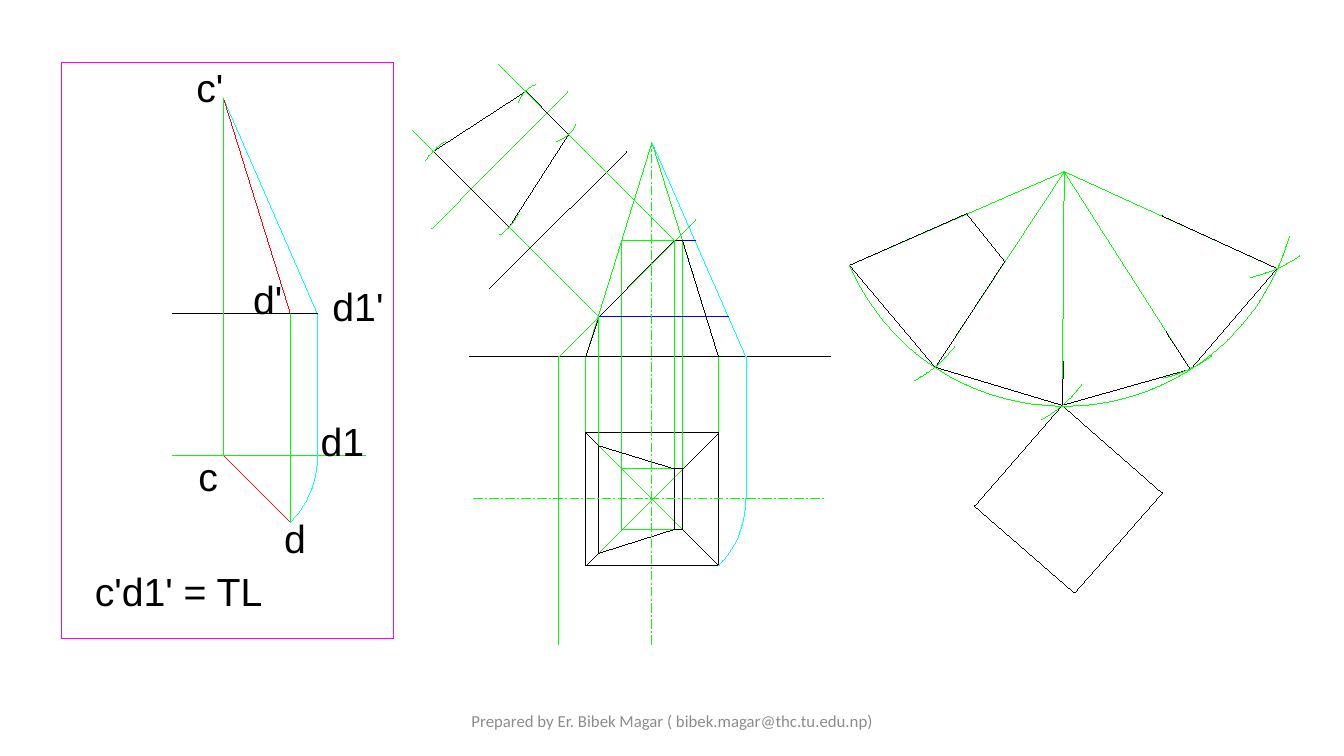
import math
import pptx
import pptx.util
import pptx.dml.color
import pptx.enum.dml
import pptx.enum.shapes
import pptx.enum.text
import pptx.oxml.ns
from lxml import etree

# Content: drawing coordinates are inches, converted to Cm when drawn
BLACK, GREEN, CYAN, BLUE = "000000", "00FF00", "00FFFF", "0000FF"
RED, MAGENTA, GREY = "FF0000", "FF00FF", "8C8C8C"
AXIS_X, GROUND_Y, PLAN_Y = 6.47, 3.54, 4.95
BASE_HALF, TOP_HALF = 0.66, 0.30

# Plan and elevation of the pyramid
apex = (AXIS_X, 1.41)
low_cut, high_cut, top_right = (5.94, 3.14), (6.69, 2.38), (6.77, 2.38)
base_left, base_right = (AXIS_X - BASE_HALF, GROUND_Y), (AXIS_X + BASE_HALF, GROUND_Y)
low_back, low_front = (5.94, 4.42), (5.94, 5.49)
high_back, high_front = (6.69, 4.65), (6.69, 5.25)


def square(half):
    """Plan corners: back left, back right, front right, front left."""
    return [(AXIS_X + half * sx, PLAN_Y + half * sy)
            for sx, sy in ((-1, -1), (1, -1), (1, 1), (-1, 1))]


base = square(BASE_HALF)
top = square(TOP_HALF)
turned = (7.40, PLAN_Y)
turned_ground = (7.40, GROUND_Y)

# Each chain is a colour and the points it joins
pyramid = [
    (BLACK, base + base[:1]),
    (GREEN, top + top[:1]),
    (GREEN, [base[3], base[1]]),
    (GREEN, [base[0], base[2]]),
    (BLACK, [(4.66, GROUND_Y), (8.24, GROUND_Y)]),
    (GREEN, [(6.17, 2.38), top_right]),
    (GREEN, [base[0], base_left]),
    (GREEN, [top[0], (6.17, 2.38)]),
    (GREEN, [top[1], top_right]),
    (GREEN, [base[1], base_right]),
    (GREEN, [(5.54, 6.39), (5.54, GROUND_Y), (6.90, 2.18)]),
    (BLACK, [(4.86, 2.86), (6.22, 1.50)]),
    (GREEN, [(4.28, 2.27), (5.63, 0.91)]),
    (GREEN, [base_left, apex, base_right]),
    (BLACK, [top_right, high_cut, low_cut, base_left]),
    (GREEN, [high_cut, high_front]),
    (GREEN, [low_cut, low_front]),
    (BLACK, [base[1], top[1], high_back, high_front, top[2], base[2]]),
    (BLACK, [high_back, low_back, low_front, high_front]),
    (BLACK, [base[3], low_front]),
    (BLACK, [base[0], low_back]),
    (BLACK, [base_right, top_right]),
    (CYAN, [turned, turned_ground, apex]),
    (BLUE, [top_right, (6.90, 2.38)]),
    (BLUE, [low_cut, (7.23, 3.14)]),
]
centre_lines = [
    (GREEN, [(AXIS_X, 6.39), apex]),
    (GREEN, [(4.70, PLAN_Y), (8.20, PLAN_Y)]),
]

# True shape of the section
section = [(4.30, 1.50), (5.22, 0.90), (5.64, 1.33), (5.05, 2.25)]
true_shape = [
    (GREEN, [low_cut, (4.09, 1.29)]),
    (GREEN, [high_cut, (4.95, 0.64)]),
    (BLACK, section + section[:1]),
]

# Development of the surface
hub = (10.56, 1.70)
rim = [(8.43, 2.63), (9.28, 3.64), (10.54, 4.02), (11.81, 3.66), (12.67, 2.66)]
cuts = [(9.59, 2.12), (9.97, 2.59), (10.55, 3.59), (11.57, 3.29), (11.53, 2.14)]
development = (
    [(GREEN, [corner, hub]) for corner in rim]
    + [(BLACK, [corner, cut]) for corner, cut in zip(rim, cuts)]
    + [(BLACK, cuts[:2]), (BLACK, rim),
       (BLACK, [rim[2], (11.53, 4.89), (10.66, 5.88), (9.67, 5.02), rim[2]])]
)

# True length of the edge cd
c, c_up, d, d_up = (2.22, 4.52), (2.22, 0.98), (2.88, 5.18), (2.88, 3.11)
d1, d1_up = (3.15, 4.52), (3.15, 3.11)
true_length = [
    (RED, [c, d]),
    (GREEN, [(1.71, 4.52), (3.63, 4.52)]),
    (CYAN, [d1, d1_up, c_up]),
    (BLACK, [d1_up, (1.71, 3.11)]),
    (GREEN, [d, d_up]),
    (RED, [d_up, c_up]),
    (MAGENTA, [(3.90, 6.34), (3.90, 0.62), (0.61, 0.62), (0.61, 6.34), (3.90, 6.34)]),
    (GREEN, [c, c_up]),
]

# Arcs: colour, start, end, radius, number of steps
arcs = [
    (CYAN, base[2], turned, 0.93, 11),
    (CYAN, d, d1, 0.93, 11),
    (GREEN, (4.42, 1.40), (4.22, 1.59), 0.66, 5),
    (GREEN, (4.96, 2.33), (5.14, 2.13), 0.66, 5),
    (GREEN, (5.31, 0.84), (5.14, 1.02), 0.30, 7),
    (GREEN, (5.52, 1.40), (5.71, 1.24), 0.30, 7),
    (GREEN, rim[0], (12.79, 2.35), 2.32, 57),
    (GREEN, (9.07, 3.78), (9.47, 3.44), 1.32, 7),
    (GREEN, (10.34, 4.16), (10.73, 3.82), 1.32, 7),
    (GREEN, (12.41, 2.75), (12.89, 2.54), 1.32, 7),
    (GREEN, (11.54, 3.75), (12.02, 3.53), 1.32, 7),
]

# Labels: text, left, top, width
labels = [
    ("c'", 1.95, 0.63, 0.44),
    ("c", 1.97, 4.49, 0.37),
    ("d", 2.82, 5.10, 0.39),
    ("d1'", 3.30, 2.80, 0.68),
    ("d'", 2.51, 2.73, 0.46),
    ("d1", 3.18, 4.14, 0.61),
    ("c'd1' = TL", 0.94, 5.63, 1.85),
]
label_format = {"word_wrap": False, "margin_left": 0, "margin_right": 0,
                "margin_top": 0, "margin_bottom": 0,
                "auto_size": pptx.enum.text.MSO_AUTO_SIZE.SHAPE_TO_FIT_TEXT}
credit = "Prepared by Er. Bibek Magar ( bibek.magar@thc.tu.edu.np)"
credit_format = {"word_wrap": True,
                 "vertical_anchor": pptx.enum.text.MSO_ANCHOR.MIDDLE}

deck = pptx.Presentation()
deck.slide_width, deck.slide_height = pptx.util.Cm(33.87), pptx.util.Cm(19.05)
slide = deck.slides.add_slide(deck.slide_layouts[6])


def cm(inches):
    return pptx.util.Cm(round(inches * 2.54, 2))


def rgb(value):
    return pptx.dml.color.RGBColor.from_string(value)


def hairline(shape, color, width=0):
    shape.line.color.rgb = rgb(color)
    properties = shape.element.spPr
    properties.find(pptx.oxml.ns.qn("a:ln")).set("w", str(pptx.util.Pt(width)))
    if properties.find(pptx.oxml.ns.qn("a:effectLst")) is None:
        etree.SubElement(properties, pptx.oxml.ns.qn("a:effectLst"))


def draw_chains(chains, dash=None, width=0):
    for color, points in chains:
        for start, end in zip(points, points[1:]):
            edge = slide.shapes.add_connector(
                pptx.enum.shapes.MSO_CONNECTOR.STRAIGHT, *map(cm, start + end))
            hairline(edge, color, width)
            if dash is not None:
                edge.line.dash_style = dash


def draw_arc(color, start, end, radius, steps):
    dx, dy = end[0] - start[0], end[1] - start[1]
    middle = math.atan2(dy, dx) + math.pi / 2
    half = math.asin(math.hypot(dx, dy) / (2 * radius))
    first = middle + half
    x = start[0] - radius * math.cos(first)
    y = start[1] - radius * math.sin(first)
    angles = [first - 2 * half * step / steps for step in range(steps + 1)]
    points = [(cm(x + radius * math.cos(a)), cm(y + radius * math.sin(a)))
              for a in angles]
    builder = slide.shapes.build_freeform(*points[0])
    builder.add_line_segments(points[1:], close=False)
    arc = builder.convert_to_shape()
    arc.fill.background()
    hairline(arc, color)


def add_text(text, box, frame_format, font_name, size, color, align):
    frame = slide.shapes.add_textbox(*map(cm, box)).text_frame
    for name, value in frame_format.items():
        setattr(frame, name, value)
    paragraph = frame.paragraphs[0]
    paragraph.text, paragraph.alignment = text, align
    font = paragraph.runs[0].font
    font.name, font.size = font_name, pptx.util.Pt(size)
    font.color.rgb = rgb(color)


# Drawing
draw_chains(pyramid)
draw_chains(centre_lines, dash=pptx.enum.dml.MSO_LINE.LONG_DASH_DOT)
draw_chains(true_shape + development + true_length)
draw_chains([(BLACK, [top[1], top[2]])], width=0.5)
for arc_values in arcs:
    draw_arc(*arc_values)

# Labels and credit line
for text, left, label_top, width in labels:
    add_text(text, (left, label_top, width, 0.52), label_format, "Arial", 28, BLACK,
             pptx.enum.text.PP_ALIGN.LEFT)
add_text(credit, (4.42, 6.95, 4.50, 0.40), credit_format, "Calibri", 12, GREY,
         pptx.enum.text.PP_ALIGN.CENTER)

deck.save("out.pptx")
